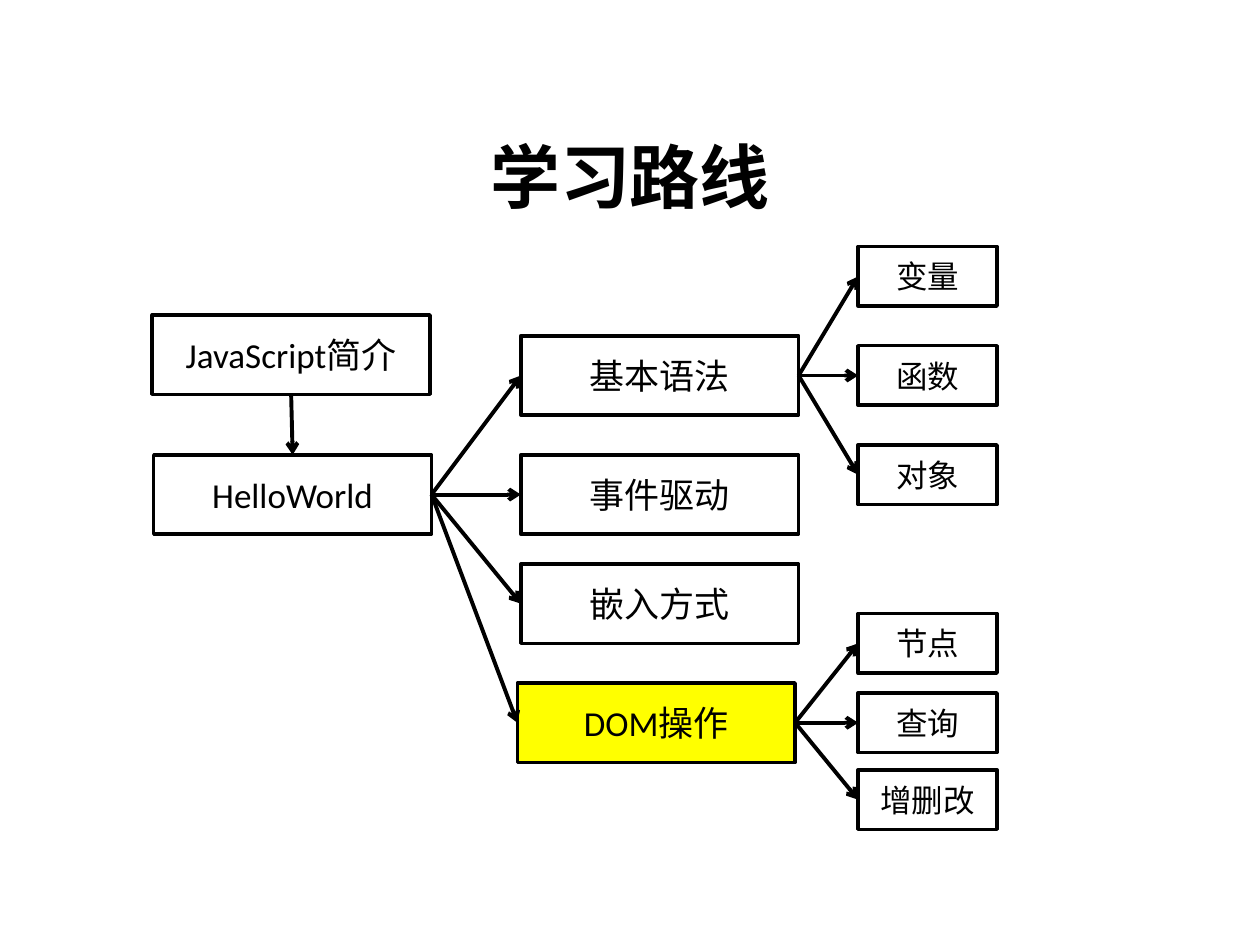
from lxml import etree
from pptx import Presentation
from pptx import util as u
from pptx.dml.color import RGBColor
from pptx.enum import shapes, text
from pptx.oxml.ns import qn


def color(value):
    return RGBColor.from_string(value)


def write(shape, content, size, bold=False):
    frame = shape.text_frame
    frame.word_wrap = True
    frame.vertical_anchor = text.MSO_ANCHOR.MIDDLE
    paragraph = frame.paragraphs[0]
    paragraph.text = content
    paragraph.alignment = text.PP_ALIGN.CENTER
    paragraph.font.name = "Calibri"
    paragraph.font.size = u.Pt(size)
    paragraph.font.bold = bold
    paragraph.font.color.rgb = color("000000")


presentation = Presentation()
presentation.slide_width = u.Cm(25.4)
presentation.slide_height = u.Cm(19.05)
slide = presentation.slides.add_slide(presentation.slide_layouts[6])

title = slide.shapes.add_textbox(u.Cm(1.27), u.Cm(2.34), u.Cm(22.86), u.Cm(2.41))
write(title, "学习路线", 40, True)

topic_size = (5.6, 1.6, 20)
detail_size = (2.8, 1.2, 18)
steps = [
    ("JavaScript简介", 3.07, 6.35, topic_size),
    ("HelloWorld", 3.1, 9.17, topic_size),
    ("基本语法", 10.5, 6.77, topic_size),
    ("事件驱动", 10.5, 9.17, topic_size),
    ("嵌入方式", 10.5, 11.37, topic_size),
    ("DOM操作", 10.43, 13.77, topic_size),
    ("变量", 17.3, 4.97, detail_size),
    ("函数", 17.3, 6.97, detail_size),
    ("对象", 17.3, 8.97, detail_size),
    ("节点", 17.3, 12.37, detail_size),
    ("查询", 17.3, 13.97, detail_size),
    ("增删改", 17.3, 15.52, detail_size),
]
boxes = {}
for name, left, top, (width, height, font_size) in steps:
    box = slide.shapes.add_shape(
        shapes.MSO_SHAPE.RECTANGLE, u.Cm(left), u.Cm(top), u.Cm(width), u.Cm(height)
    )
    box.shadow.inherit = False
    box.fill.background()
    box.line.color.rgb = color("000000")
    box.line.width = u.Pt(2)
    write(box, name, font_size)
    boxes[name] = box

current = boxes["DOM操作"]
current.fill.solid()
current.fill.fore_color.rgb = color("FFFF00")

bottom, left_side, right_side, top_side = 2, 1, 3, 0
branches = {
    "HelloWorld": ["基本语法", "事件驱动", "嵌入方式", "DOM操作"],
    "基本语法": ["变量", "函数", "对象"],
    "DOM操作": ["节点", "查询", "增删改"],
}
links = [("JavaScript简介", bottom, "HelloWorld", top_side)]
for parent, children in branches.items():
    links += [(parent, right_side, child, left_side) for child in children]

for start, start_side, end, end_side in links:
    arrow = slide.shapes.add_connector(shapes.MSO_CONNECTOR.STRAIGHT, 0, 0, 0, 0)
    arrow.begin_connect(boxes[start], start_side)
    arrow.end_connect(boxes[end], end_side)
    arrow.line.color.rgb = color("000000")
    arrow.line.width = u.Pt(2.25)
    etree.SubElement(arrow.line._get_or_add_ln(), qn("a:tailEnd"), type="arrow")
    etree.SubElement(arrow._element.spPr, qn("a:effectLst"))

presentation.save("out.pptx")
